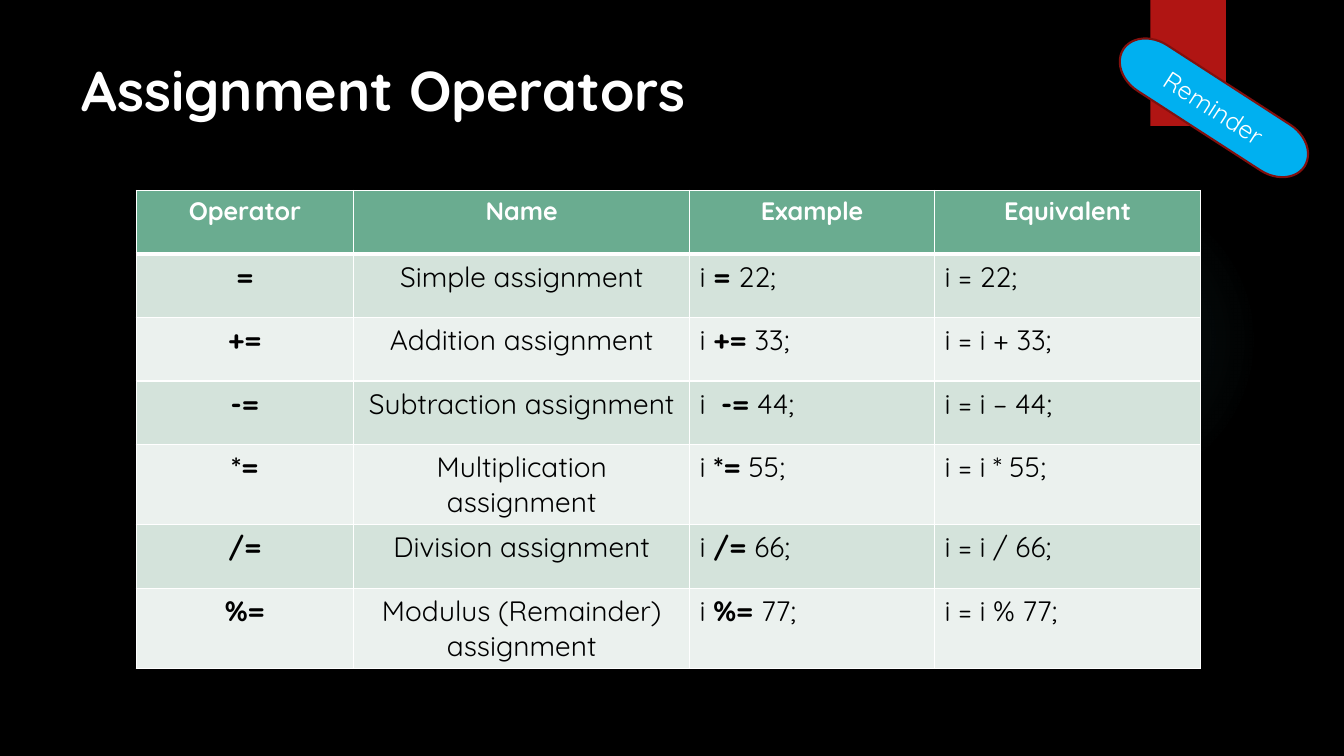
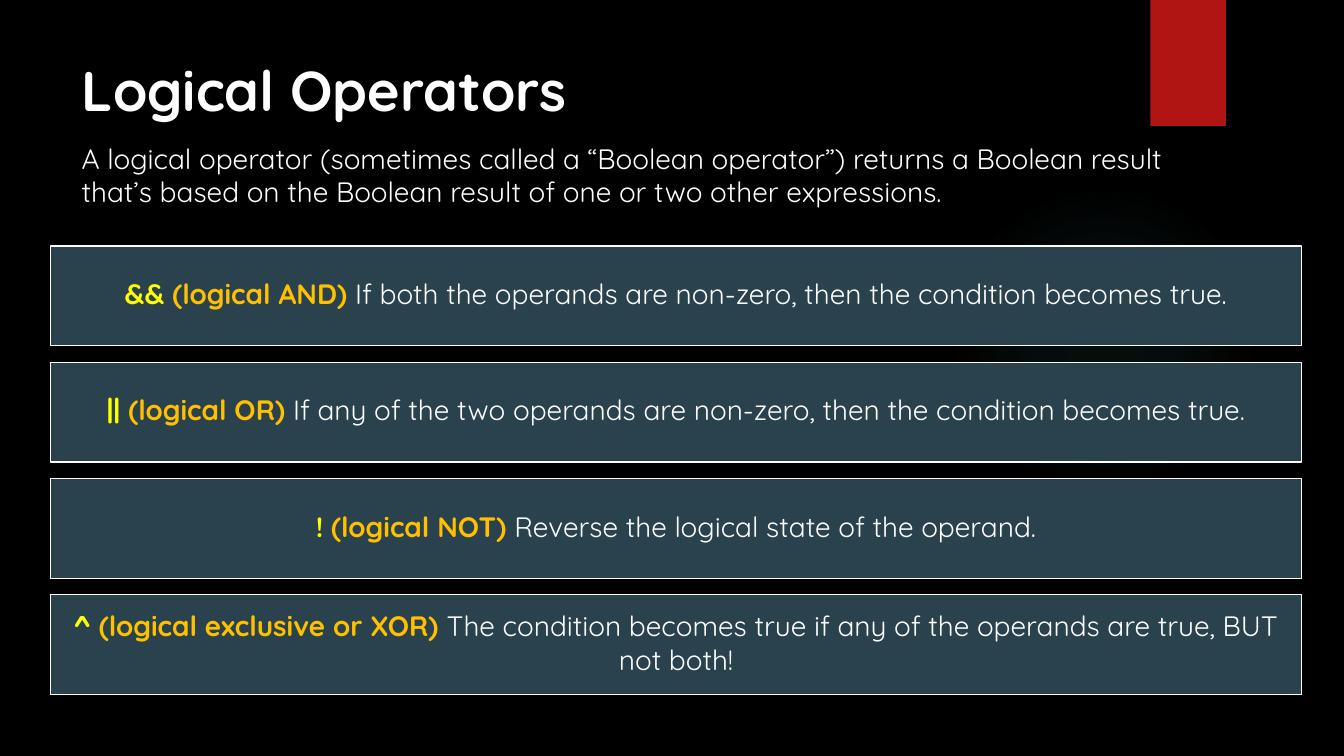
from lxml import etree
from pptx import Presentation
from pptx.dml.color import RGBColor
from pptx.enum.shapes import MSO_SHAPE as Shape
from pptx.enum.text import MSO_ANCHOR as Anchor, PP_ALIGN as Align
from pptx.oxml import parse_xml
from pptx.oxml.ns import nsdecls, qn
from pptx.util import Inches, Pt

BLACK, WHITE = "000000", "FFFFFF"
TITLE_AND_BODY, TITLE_ONLY = 1, 5

HEADINGS = ["Operator", "Name", "Example", "Equivalent"]
COLUMN_WIDTHS = [2.16, 3.33, 2.43, 2.64]
ASSIGNMENTS = [
    ("=", "Simple assignment", "i ", " 22;", "i = 22;"),
    ("+=", "Addition assignment", "i ", " 33;", "i = i + 33;"),
    ("-=", "Subtraction assignment", "i  ", " 44;", "i = i – 44;"),
    ("*=", "Multiplication assignment", "i ", " 55;", "i = i * 55;"),
    ("/=", "Division assignment", "i ", " 66;", "i = i / 66;"),
    ("%=", "Modulus (Remainder) assignment", "i ", " 77;", "i = i % 77;"),
]
INTRO = (
    "A logical operator (sometimes called a “Boolean operator”) returns a Boolean "
    "result that’s based on the Boolean result of one or two other expressions."
)
LOGICAL_OPERATORS = [
    ("&& ", "(logical AND) ",
     "If both the operands are non-zero, then the condition becomes true."),
    ("|| ", "(logical OR) ",
     "If any of the two operands are non-zero, then the condition becomes true."),
    ("! ", "(logical NOT) ", "Reverse the logical state of the operand."),
    ("^ ", "(logical exclusive or XOR) ",
     "The condition becomes true if any of the operands are true, BUT not both!"),
]


def rgb(value):
    """Turn a hex string into a colour."""
    return RGBColor.from_string(value)


class Lesson:
    """Hold the deck style and the current page."""

    font = "Quicksand"
    accent, glow_colour = "B01513", "50B9C1"
    header_fill, row_fills = "6AAC90", ("D4E3DB", "EBF1EE")
    band_fill, symbol, term = "2A424D", "FFFF00", "FFC000"
    badge_fill, badge_line = "00B0F0", "82100E"

    def __init__(self):
        """Start a black widescreen deck."""
        self.deck = Presentation()
        self.deck.slide_width, self.deck.slide_height = Inches(13.33), Inches(7.5)
        background = self.deck.slide_master.background.fill
        background.solid()
        background.fore_color.rgb = rgb(BLACK)
        self.page = None

    def new_page(self, layout, title):
        """Add a page with its title, glow and ribbon."""
        self.page = self.deck.slides.add_slide(self.deck.slide_layouts[layout])
        heading = self.page.shapes.title
        self.place(heading, 0.71, 0.5, 10.29, 0.8)
        self.set_spans(heading.text_frame, [(title, WHITE, True)], 40)
        self.glow(9.41, 1.83, 3.08)
        self.box(Shape.RECTANGLE, (11.41, 0, 0.75, 1.25), self.accent)

    def place(self, holder, left, top, width, height):
        """Move a placeholder and anchor its text at the top."""
        holder.left, holder.top = Inches(left), Inches(top)
        holder.width, holder.height = Inches(width), Inches(height)
        holder.text_frame.vertical_anchor = Anchor.TOP

    def set_spans(self, frame, spans, size, align=Align.LEFT):
        """Fill a frame with one paragraph of (text, colour, bold) spans."""
        frame.word_wrap = True
        para = frame.paragraphs[0]
        para.alignment, para.space_before = align, Pt(0)
        for text, colour, bold in spans:
            span = para.add_run()
            span.text = text
            span.font.name, span.font.size = self.font, Pt(size)
            span.font.bold, span.font.color.rgb = bold, rgb(colour)

    def box(self, kind, area, fill, line=None, weight=1):
        """Draw a filled preset shape and return it."""
        box = self.page.shapes.add_shape(kind, *map(Inches, area))
        box.shadow.inherit = False
        box.fill.solid()
        box.fill.fore_color.rgb = rgb(fill)
        if line:
            box.line.color.rgb, box.line.width = rgb(line), Pt(weight)
        else:
            box.line.fill.background()
        return box

    def glow(self, left, top, size):
        """Draw a faint round glow that fades outwards."""
        oval = self.box(Shape.OVAL, (left, top, size, size), self.glow_colour)
        stops = "".join(
            f'<a:gs pos="{place * 1000}"><a:srgbClr val="{self.glow_colour}">'
            f'<a:alpha val="{alpha * 1000}"/></a:srgbClr></a:gs>'
            for place, alpha in ((0, 7), (36, 6), (69, 0), (100, 0))
        )
        gradient = parse_xml(
            f'<a:gradFill {nsdecls("a")}><a:gsLst>{stops}</a:gsLst><a:path path="circle">'
            '<a:fillToRect l="50000" t="50000" r="50000" b="50000"/></a:path></a:gradFill>'
        )
        solid = oval.element.spPr.find(qn("a:solidFill"))
        solid.getparent().replace(solid, gradient)

    def body(self, text, left, top, width, height):
        """Put plain text in the body placeholder."""
        holder = self.page.placeholders[1]
        self.place(holder, left, top, width, height)
        self.set_spans(holder.text_frame, [(text, WHITE, False)], 20)
        properties = holder.text_frame.paragraphs[0]._p.get_or_add_pPr()
        properties.set("marL", "0")
        properties.set("indent", "0")
        etree.SubElement(properties, qn("a:buNone"))

    def badge(self, text, area, angle):
        """Draw a tilted label."""
        box = self.box(Shape.FLOWCHART_TERMINATOR, area, self.badge_fill, self.badge_line, 1.5)
        box.rotation = angle
        box.text_frame.vertical_anchor = Anchor.MIDDLE
        self.set_spans(box.text_frame, [(text, WHITE, False)], 18, Align.CENTER)

    def band(self, top, symbol, term, meaning):
        """Draw a full-width band that explains one operator."""
        box = self.box(Shape.RECTANGLE, (0.5, top, 12.41, 0.99), self.band_fill, WHITE)
        frame = box.text_frame
        frame.vertical_anchor, frame.margin_bottom = Anchor.MIDDLE, Inches(0.1)
        spans = [(symbol, self.symbol, True), (term, self.term, True), (meaning, WHITE, False)]
        self.set_spans(frame, spans, 20, Align.CENTER)

    def cell(self, cell, spans, size, align, fill, top=1, bottom=1):
        """Fill and colour a table cell with white borders."""
        self.set_spans(cell.text_frame, spans, size, align)
        properties = cell._tc.get_or_add_tcPr()
        for side, weight in zip("LRTB", (1, 1, top, bottom)):
            line = etree.SubElement(properties, qn(f"a:ln{side}"), w=str(Pt(weight)))
            paint = etree.SubElement(line, qn("a:solidFill"))
            etree.SubElement(paint, qn("a:srgbClr"), val=WHITE)
        cell.fill.solid()
        cell.fill.fore_color.rgb = rgb(fill)

    def operator_table(self, left, top, row_height):
        """Draw the table of assignment operators."""
        count = len(ASSIGNMENTS) + 1
        size = Inches(sum(COLUMN_WIDTHS)), Inches(row_height * count)
        table = self.page.shapes.add_table(
            count, len(HEADINGS), Inches(left), Inches(top), *size).table
        table.horz_banding = False
        for column, width in zip(table.columns, COLUMN_WIDTHS):
            column.width = Inches(width)
        for column, text in enumerate(HEADINGS):
            self.cell(table.cell(0, column), [(text, WHITE, True)], 18,
                      Align.CENTER, self.header_fill, bottom=3)
        for row, (sign, name, before, after, equivalent) in enumerate(ASSIGNMENTS, 1):
            contents = [
                ([(sign, BLACK, True)], Align.CENTER),
                ([(name, BLACK, False)], Align.CENTER),
                ([(before, BLACK, False), (sign, BLACK, True), (after, BLACK, False)], Align.LEFT),
                ([(equivalent, BLACK, False)], Align.LEFT),
            ]
            fill = self.row_fills[(row - 1) % 2]
            for column, (spans, align) in enumerate(contents):
                self.cell(table.cell(row, column), spans, 20, align, fill,
                          top=3 if row == 1 else 1)


def main():
    """Build and save the two pages."""
    lesson = Lesson()

    lesson.new_page(TITLE_ONLY, "Assignment Operators")
    lesson.operator_table(1.35, 1.89, 0.63)
    lesson.badge("Reminder", (10.97, 0.8, 2.14, 0.54), 32.9)

    lesson.new_page(TITLE_AND_BODY, "Logical Operators")
    lesson.body(INTRO, 0.71, 1.35, 11.69, 0.96)
    first, last = 2.44, 5.9
    pitch = (last - first) / (len(LOGICAL_OPERATORS) - 1)
    for index, operator in enumerate(LOGICAL_OPERATORS):
        lesson.band(first + index * pitch, *operator)

    lesson.deck.save("out.pptx")


if __name__ == "__main__":
    main()
